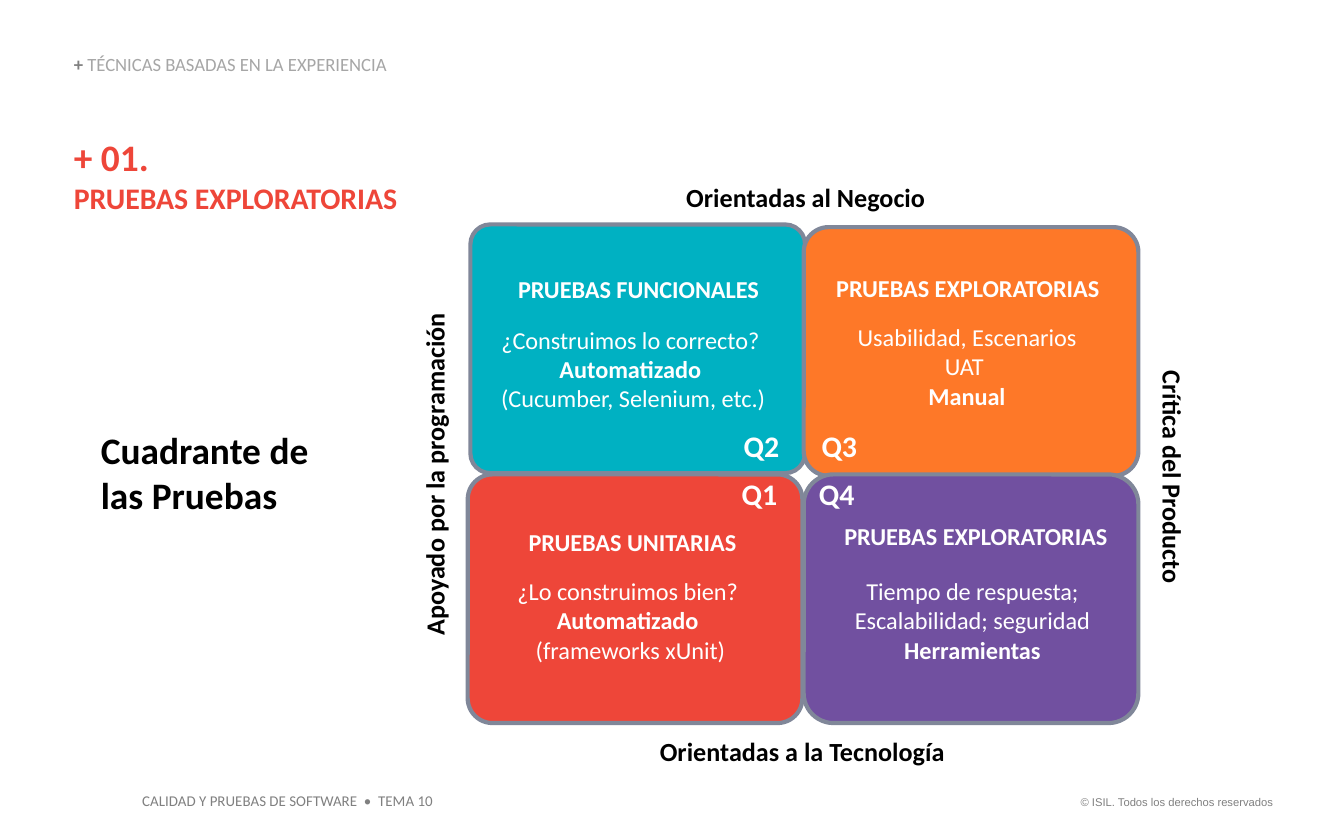
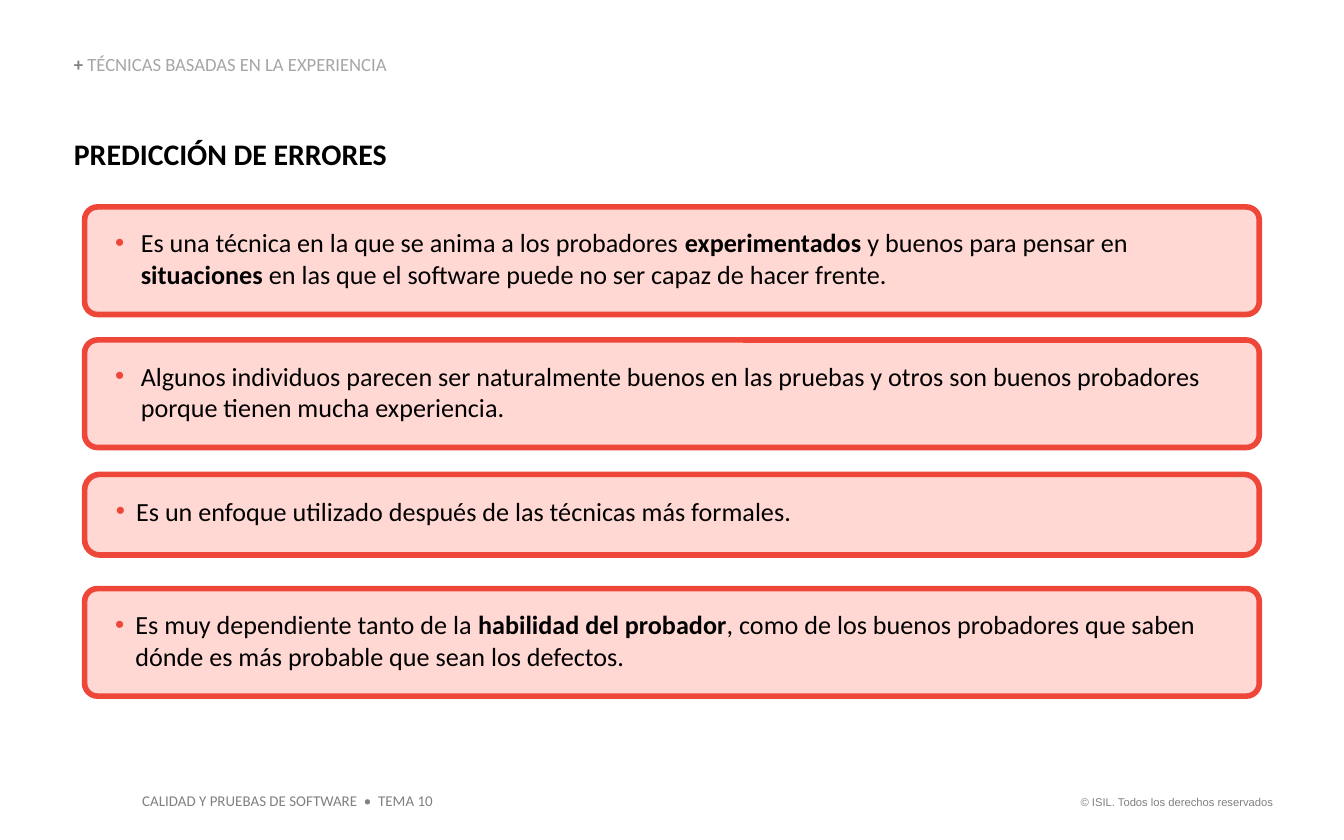
from dataclasses import dataclass
from typing import NamedTuple

from lxml import etree
from pptx import Presentation
from pptx import util as u
from pptx.dml.color import RGBColor
from pptx.enum import shapes as sh
from pptx.enum import text as tx
from pptx.oxml.ns import qn

Align = tx.PP_ALIGN
Anchor = tx.MSO_ANCHOR
rgb = RGBColor.from_string


@dataclass(frozen=True)
class Theme:
    font: str = "Calibri"
    fine_font: str = "Arial"
    red: str = "EE4639"
    pink: str = "FFD8D4"
    teal: str = "00B1C2"
    orange: str = "FE7828"
    purple: str = "7150A0"
    edge: str = "808799"
    gray: str = "808080"
    pale: str = "A6A6A6"
    black: str = "000000"
    white: str = "FFFFFF"
    fine: float = 6
    foot: float = 8
    crumb: float = 10
    quad: float = 13
    text: float = 14
    title: float = 16
    large: float = 20


T = Theme()


class Box(NamedTuple):
    left: float
    top: float
    width: float
    height: float


class Run(NamedTuple):
    text: str
    bold: bool = False
    size: float = T.text
    color: str = T.black
    font: str = T.font


class Quad(NamedTuple):
    box: Box
    fill: str
    round: float
    tag: str
    tag_box: Box
    head: str
    head_box: Box
    body_box: Box
    lines: list[tuple[str, bool]]


class Label(NamedTuple):
    text: str
    box: Box
    turn: int = 0


class Card(NamedTuple):
    top: float
    height: float
    round: float
    indent: float
    runs: list[Run]


QUADS = [
    Quad(Box(3.5, 1.67, 2.49, 1.85), T.teal, 0.08, "Q2", Box(5.42, 3.18, 0.49, 0.27),
         "PRUEBAS FUNCIONALES", Box(3.67, 2.04, 2.16, 0.22), Box(3.51, 2.42, 2.4, 0.66),
         [("¿Construimos lo correcto? ", False), ("Automatizado ", True),
          ("(Cucumber, Selenium, etc.)", False)]),
    Quad(Box(3.48, 3.53, 2.49, 1.85), T.red, 0.1, "Q1", Box(5.39, 3.54, 0.52, 0.27),
         "PRUEBAS UNITARIAS", Box(3.76, 3.92, 1.89, 0.22), Box(3.67, 4.29, 2.04, 0.66),
         [("¿Lo construimos bien? ", False), ("Automatizado ", True),
          ("(frameworks xUnit)", False)]),
    Quad(Box(5.98, 1.69, 2.49, 1.85), T.orange, 0.1, "Q3", Box(5.97, 3.18, 0.55, 0.27),
         "PRUEBAS EXPLORATORIAS", Box(6.03, 2.03, 2.34, 0.22), Box(6.16, 2.4, 2.07, 0.66),
         [("Usabilidad, Escenarios", False), ("UAT ", False), ("Manual", True)]),
    Quad(Box(5.98, 3.53, 2.49, 1.85), T.purple, 0.12, "Q4", Box(5.98, 3.54, 0.49, 0.27),
         "PRUEBAS EXPLORATORIAS", Box(6.09, 3.88, 2.34, 0.22), Box(6.17, 4.29, 2.13, 0.66),
         [("Tiempo de respuesta;", False), ("Escalabilidad; seguridad", False),
          ("Herramientas", True)]),
]

LABELS = [
    Label("Orientadas al Negocio", Box(4.87, 1.35, 2.25, 0.24)),
    Label("Orientadas a la Tecnología", Box(4.65, 5.47, 2.64, 0.24)),
    Label("Crítica del Producto", Box(7.68, 3.43, 2.09, 0.24), 90),
    Label("Apoyado por la programación", Box(1.75, 3.41, 2.97, 0.24), 270),
]

CARDS = [
    Card(1.54, 0.8, 0.12, 0.19, [
        Run("Es una técnica en la que se anima a los probadores "),
        Run("experimentados", True),
        Run(" y buenos para pensar en "),
        Run("situaciones ", True),
        Run("en las que el software puede no ser capaz de hacer frente.")]),
    Card(2.53, 0.8, 0.12, 0.19, [
        Run("Algunos individuos parecen ser naturalmente buenos en las pruebas y otros "
            "son buenos probadores porque tienen mucha experiencia.")]),
    Card(3.53, 0.6, 0.19, 0.15, [
        Run("Es un enfoque utilizado después de las técnicas más formales.")]),
    Card(4.38, 0.8, 0.12, 0.15, [
        Run("Es muy dependiente tanto de la "),
        Run("habilidad del probador", True),
        Run(", como de los buenos probadores que saben dónde es más probable "
            "que sean los defectos.")]),
]


def place(box: Box) -> list[u.Length]:
    return [u.Inches(n) for n in box]


def inset(frame, left: float = 0, top: float = 0, right: float = 0, bottom: float = 0) -> None:
    frame.margin_left, frame.margin_top = u.Inches(left), u.Inches(top)
    frame.margin_right, frame.margin_bottom = u.Inches(right), u.Inches(bottom)


def write(para, runs: list[Run], align=Align.LEFT) -> None:
    para.alignment = align
    for item in runs:
        for i, part in enumerate(item.text.split("\n")):
            if i:
                para.add_line_break()
            run = para.add_run()
            run.text = part
            run.font.name, run.font.size = item.font, u.Pt(item.size)
            run.font.bold = item.bold
            run.font.color.rgb = rgb(item.color)


def add_text(slide, box: Box, paras: list[list[Run]], align=Align.LEFT):
    shape = slide.shapes.add_textbox(*place(box))
    frame = shape.text_frame
    frame.word_wrap = True
    inset(frame)
    for i, runs in enumerate(paras):
        write(frame.add_paragraph() if i else frame.paragraphs[0], runs, align)
    return shape


def add_round(slide, box: Box, fill: str, edge: str, width: float, bend: float):
    shape = slide.shapes.add_shape(sh.MSO_SHAPE.ROUNDED_RECTANGLE, *place(box))
    shape.shadow.inherit = False
    shape.adjustments[0] = bend
    shape.fill.solid()
    shape.fill.fore_color.rgb = rgb(fill)
    shape.line.color.rgb = rgb(edge)
    shape.line.width = u.Pt(width)
    return shape


def add_bullet(para, indent: float) -> None:
    props = para._p.get_or_add_pPr()
    props.set("marL", str(u.Inches(indent)))
    props.set("indent", str(-u.Inches(indent)))
    tint = etree.SubElement(props, qn("a:buClr"))
    etree.SubElement(tint, qn("a:srgbClr"), val=T.red)
    etree.SubElement(props, qn("a:buFont"), typeface=T.fine_font)
    etree.SubElement(props, qn("a:buChar"), char="•")


def add_page(deck, box: Box, title: list[Run]):
    slide = deck.slides.add_slide(deck.slide_layouts[5])
    head = slide.shapes.title
    head.left, head.top, head.width, head.height = place(box)
    frame = head.text_frame
    frame.word_wrap = True
    frame.auto_size = tx.MSO_AUTO_SIZE.NONE
    frame.vertical_anchor = Anchor.TOP
    inset(frame)
    write(frame.paragraphs[0], title)

    crumb = add_text(slide, Box(0.55, 0.41, 3.61, 0.15), [[
        Run("+ ", True, T.crumb, T.gray),
        Run("TÉCNICAS BASADAS EN LA EXPERIENCIA", False, T.crumb, T.pale)]])
    crumb.text_frame.vertical_anchor = Anchor.BOTTOM
    crumb.text_frame.paragraphs[0].line_spacing = 0.9

    owner = Run("© ISIL. Todos los derechos reservados", False, T.fine, T.gray, T.fine_font)
    course = Run("CALIDAD Y PRUEBAS DE SOFTWARE  •  TEMA 10", False, T.foot, T.gray)
    for spot, run, align in [(Box(7.88, 5.87, 1.69, 0.2), owner, Align.RIGHT),
                             (Box(0.96, 5.84, 2.37, 0.24), course, Align.LEFT)]:
        note = add_text(slide, spot, [[run]], align).text_frame
        note.word_wrap = False
        inset(note, 0.1, 0.05, 0.1, 0.05)
    return slide


def draw_quads(deck) -> None:
    slide = add_page(deck, Box(0.55, 1, 3.47, 0.61), [
        Run("+ 01.\n", True, T.large, T.red),
        Run("PRUEBAS EXPLORATORIAS", True, T.title, T.red)])
    for quad in QUADS:
        add_round(slide, quad.box, quad.fill, T.edge, 2.25, quad.round)
    for quad in QUADS:
        head = [[Run(quad.head, True, T.quad, T.white)]]
        body = [[Run(line, bold, T.quad, T.white)] for line, bold in quad.lines]
        tag = [[Run(quad.tag, True, T.title, T.white)]]
        add_text(slide, quad.head_box, head, Align.CENTER)
        add_text(slide, quad.body_box, body, Align.CENTER)
        add_text(slide, quad.tag_box, tag, Align.CENTER)
    for label in LABELS:
        side = add_text(slide, label.box, [[Run(label.text, True)]], Align.CENTER)
        side.rotation = label.turn
    add_text(slide, Box(0.75, 3.18, 2.09, 0.67),
             [[Run("Cuadrante de \nlas Pruebas", True, T.large)]])


def draw_cards(deck) -> None:
    slide = add_page(deck, Box(0.55, 1.01, 9, 0.27),
                     [Run("PREDICCIÓN DE ERRORES", True, T.title)])
    for card in CARDS:
        shape = add_round(slide, Box(0.63, card.top, 8.74, card.height),
                          T.pink, T.red, 3, card.round)
        frame = shape.text_frame
        frame.word_wrap = True
        frame.vertical_anchor = Anchor.TOP
        inset(frame, 0.2, 0.12, 0.04, 0.05)
        add_bullet(frame.paragraphs[0], card.indent)
        write(frame.paragraphs[0], card.runs)


def main() -> None:
    deck = Presentation()
    deck.slide_width, deck.slide_height = u.Inches(10), u.Inches(6.25)
    draw_quads(deck)
    draw_cards(deck)
    deck.save("out.pptx")


if __name__ == "__main__":
    main()
